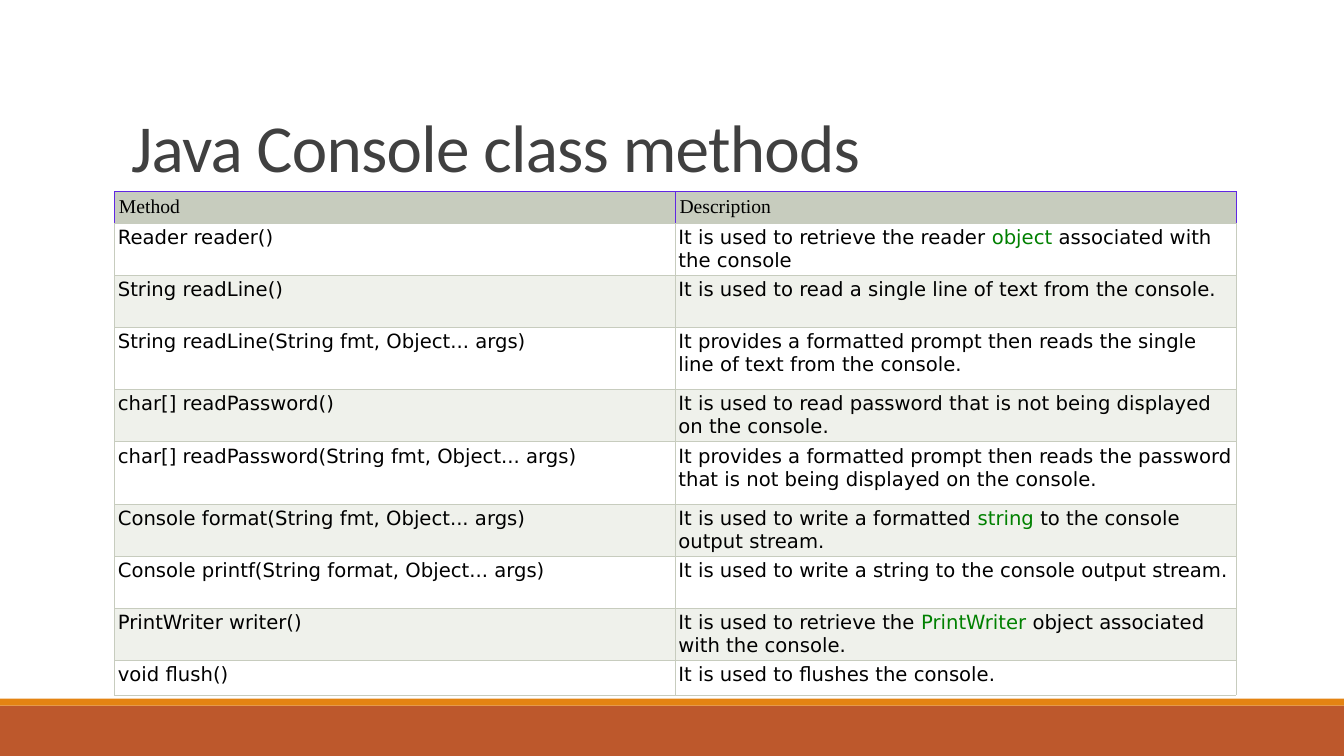
from typing import NamedTuple

from lxml.etree import SubElement
from pptx import Presentation
from pptx.dml.color import RGBColor
from pptx.enum.shapes import MSO_CONNECTOR as Line, MSO_SHAPE as Preset
from pptx.enum.text import MSO_ANCHOR as Anchor, MSO_AUTO_SIZE as AutoSize, PP_ALIGN as Align
from pptx.oxml.ns import qn
from pptx.util import Pt

SLIDE_WIDTH, SLIDE_HEIGHT = 960, 540
SAGE, PALE_SAGE, WHITE = "C7CCBE", "EFF1EB", "FFFFFF"
BLACK, GREEN, VIOLET = "000000", "008000", "6027E3"
COLUMN_WIDTH = 400.4
BORDER_WIDTH = 0.6


class Band(NamedTuple):
    top: float
    height: float
    color: str


class Method(NamedTuple):
    signature: str
    description: str  # words between bars are highlighted
    height: float = 37.2


class RowStyle(NamedTuple):
    font: str
    inset: float
    fill: str
    edges: dict[str, str]


BANDS = [Band(504, 36, "BD582C"), Band(499, 5, "E48312")]
HEADER = Method("Method", "Description", 22.3)
METHODS = [
    Method("Reader reader()",
           "It is used to retrieve the reader |object| associated with the console"),
    Method("String readLine()",
           "It is used to read a single line of text from the console."),
    Method("String readLine(String fmt, Object... args)",
           "It provides a formatted prompt then reads the single line of text from the console.",
           44.6),
    Method("char[] readPassword()",
           "It is used to read password that is not being displayed on the console."),
    Method("char[] readPassword(String fmt, Object... args)",
           "It provides a formatted prompt then reads the password that is not being "
           "displayed on the console.", 44.6),
    Method("Console format(String fmt, Object... args)",
           "It is used to write a formatted |string| to the console output stream."),
    Method("Console printf(String format, Object... args)",
           "It is used to write a string to the console output stream."),
    Method("PrintWriter writer()",
           "It is used to retrieve the |PrintWriter| object associated with the console."),
    Method("void flush()", "It is used to flushes the console.", 24.8),
]
BODY_EDGES = dict.fromkeys("LRTB", SAGE)
HEADER_EDGES = dict.fromkeys("LRT", VIOLET) | {"B": SAGE}


def rgb(color: str) -> RGBColor:
    return RGBColor.from_string(color)


def apply(target, values: dict) -> None:
    """Set every attribute named in values on target."""
    for name, value in values.items():
        setattr(target, name, value)


def add_band(slide, band: Band) -> None:
    strip = slide.shapes.add_shape(Preset.RECTANGLE, 0, Pt(band.top),
                                   Pt(SLIDE_WIDTH), Pt(band.height))
    strip.shadow.inherit = False
    strip.fill.solid()
    strip.fill.fore_color.rgb = rgb(band.color)
    strip.line.fill.background()


def add_title_rule(slide) -> None:
    rule = slide.shapes.add_connector(Line.STRAIGHT, Pt(94.3), Pt(136.8), Pt(879.1), Pt(136.8))
    rule.line.width = Pt(0.5)
    rule.line.color.rgb = rgb("808080")
    SubElement(rule._element.spPr, qn("a:effectLst"))


def write_title(slide, wording: str) -> None:
    title = slide.shapes.title
    apply(title, {"left": Pt(86.4), "top": Pt(22.3), "width": Pt(792), "height": Pt(114.5)})
    frame = title.text_frame
    apply(frame, {"word_wrap": True, "auto_size": AutoSize.NONE,
                  "vertical_anchor": Anchor.BOTTOM})
    heading = frame.paragraphs[0]
    apply(heading, {"alignment": Align.LEFT, "line_spacing": 0.85})
    words = heading.add_run()
    words.text = wording
    apply(words.font, {"name": "Calibri", "size": Pt(48)})
    words.font.color.rgb = rgb("404040")
    words.font._element.set("spc", "-50")


def border_cell(cell, edges: dict[str, str]) -> None:
    properties = cell._tc.get_or_add_tcPr()
    for side, color in edges.items():
        edge = SubElement(properties, qn(f"a:ln{side}"), w=str(Pt(BORDER_WIDTH)))
        SubElement(SubElement(edge, qn("a:solidFill")), qn("a:srgbClr"), val=color)


def write_cell(cell, wording: str, style: RowStyle) -> None:
    border_cell(cell, style.edges)
    cell.fill.solid()
    cell.fill.fore_color.rgb = rgb(style.fill)
    sides = ("margin_left", "margin_top", "margin_right", "margin_bottom")
    apply(cell, dict.fromkeys(sides, Pt(style.inset)))
    paragraph = cell.text_frame.paragraphs[0]
    for position, words in enumerate(wording.split("|")):
        run = paragraph.add_run()
        run.text = words
        apply(run.font, {"name": style.font, "size": Pt(14), "bold": False})
        run.font.color.rgb = rgb(GREEN if position % 2 else BLACK)


def add_method_table(slide) -> None:
    rows = [HEADER, *METHODS]
    table = slide.shapes.add_table(len(rows), 2, Pt(82), Pt(137), Pt(2 * COLUMN_WIDTH),
                                   Pt(sum(row.height for row in rows))).table
    apply(table, {"first_row": False, "horz_banding": False})
    for column in table.columns:
        column.width = Pt(COLUMN_WIDTH)
    for index, method in enumerate(rows):
        table.rows[index].height = Pt(method.height)
        if index == 0:
            style = RowStyle("Times New Roman", 3, SAGE, HEADER_EDGES)
        else:
            fill = WHITE if index % 2 else PALE_SAGE
            style = RowStyle("DejaVu Sans", 2.16, fill, BODY_EDGES)
        write_cell(table.cell(index, 0), method.signature, style)
        write_cell(table.cell(index, 1), method.description, style)


def main() -> None:
    deck = Presentation()
    apply(deck, {"slide_width": Pt(SLIDE_WIDTH), "slide_height": Pt(SLIDE_HEIGHT)})
    slide = deck.slides.add_slide(deck.slide_layouts.get_by_name("Title Only"))
    for band in BANDS:
        add_band(slide, band)
    add_title_rule(slide)
    write_title(slide, "Java Console class methods")
    add_method_table(slide)
    deck.save("out.pptx")


if __name__ == "__main__":
    main()
